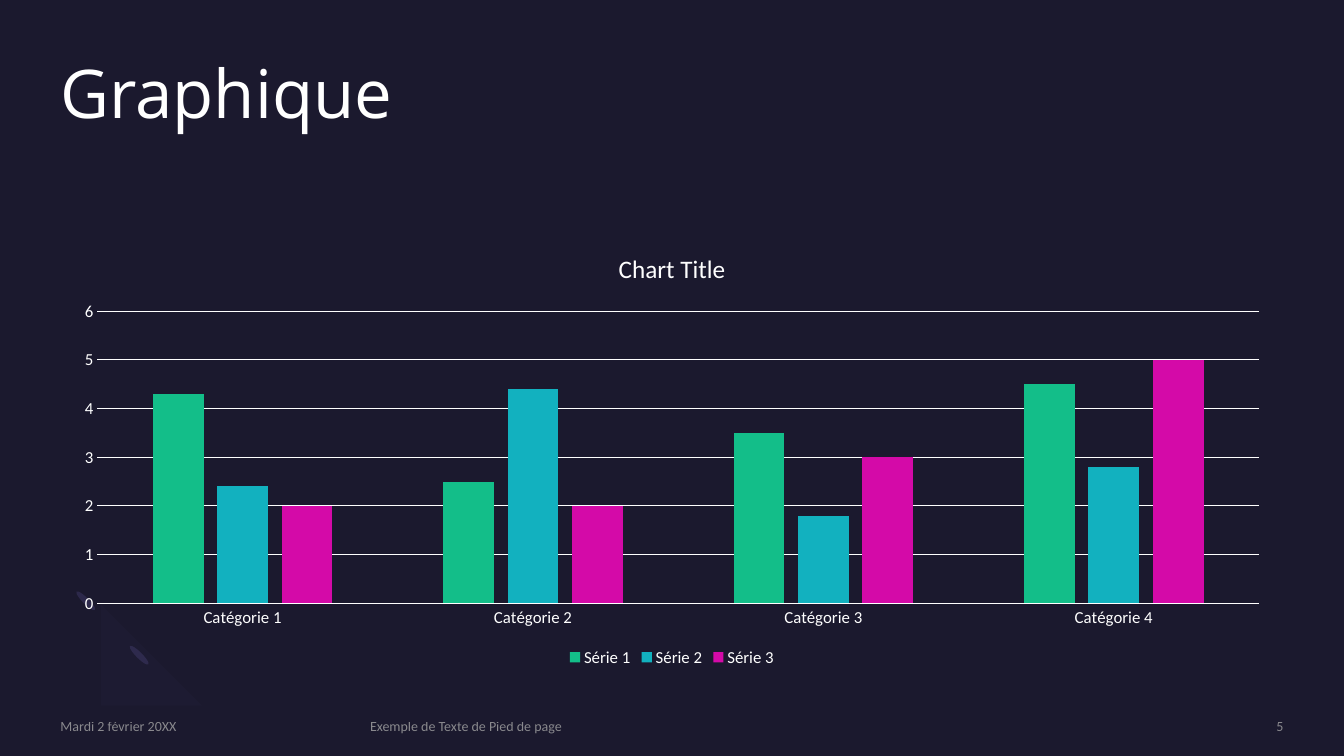
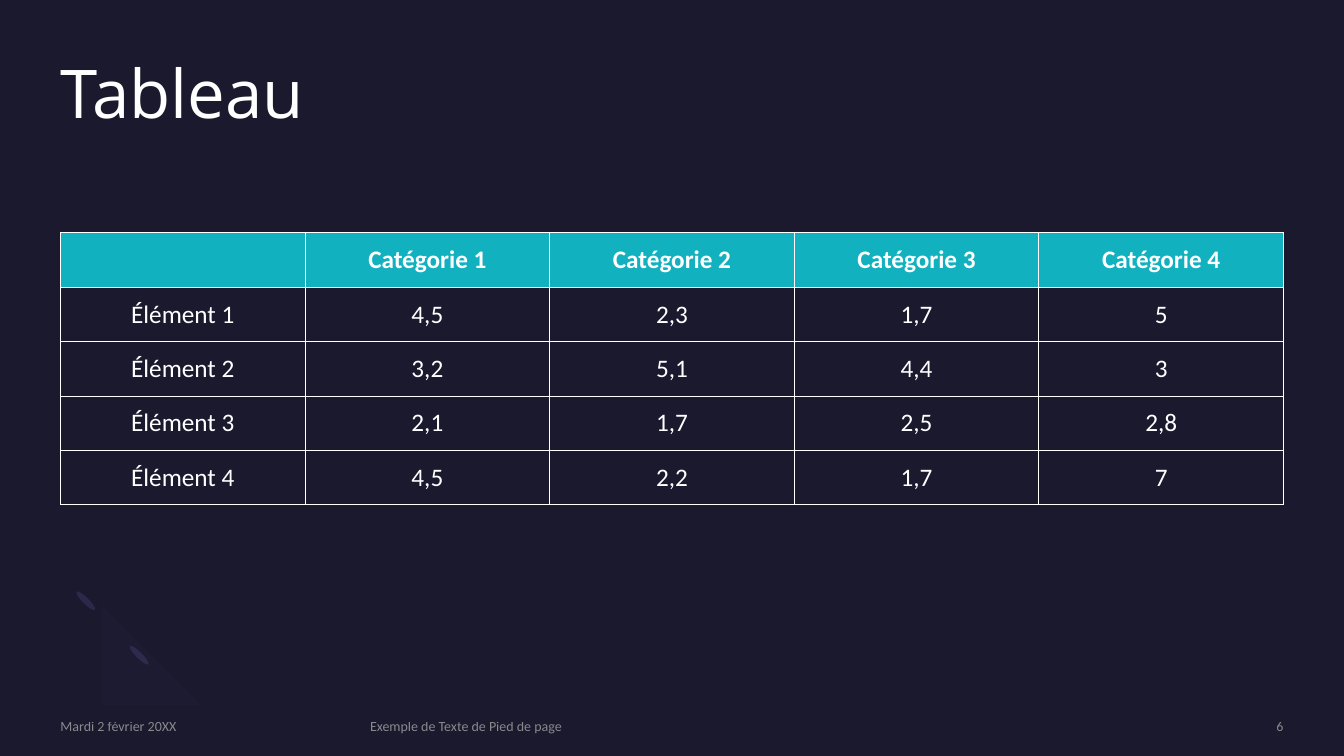
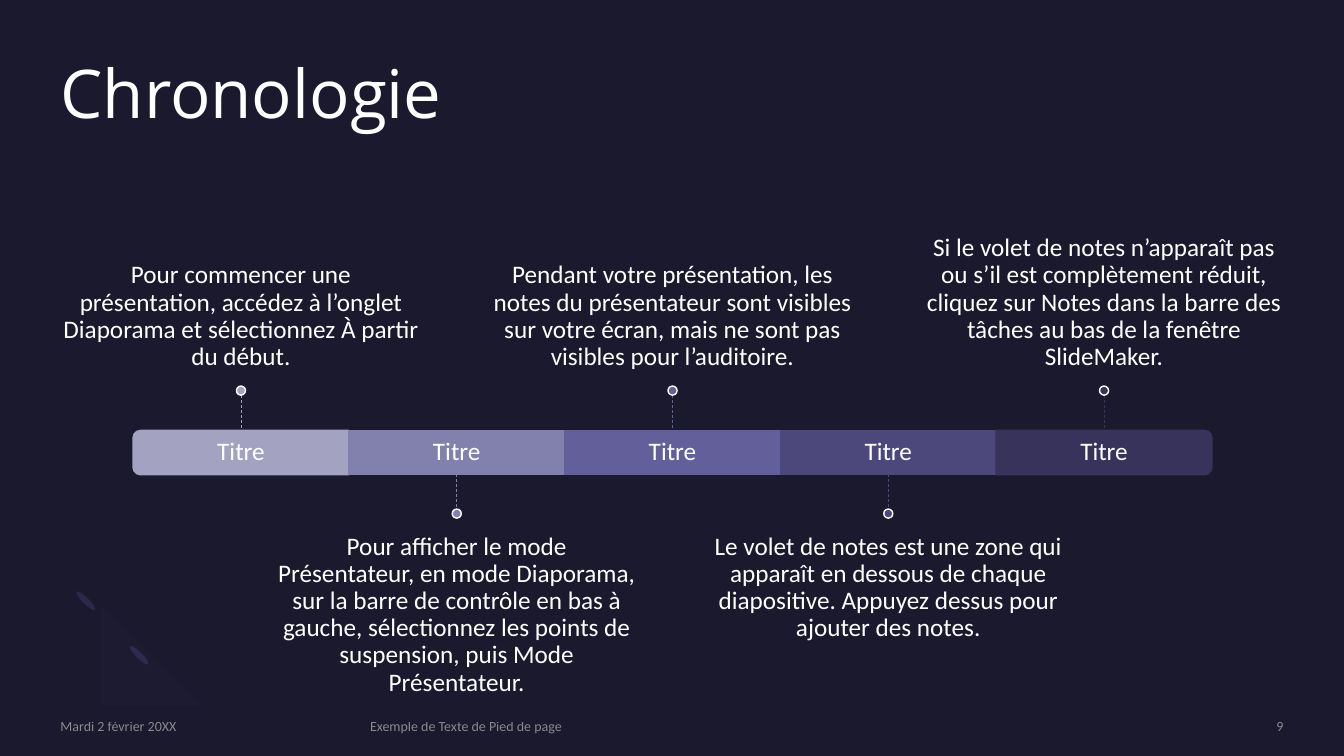
from lxml.etree import SubElement
from pptx import Presentation
from pptx.chart.data import CategoryChartData as ChartData
from pptx.dml.color import RGBColor
from pptx.enum.chart import XL_CHART_TYPE as Kind, XL_LEGEND_POSITION as Spot, XL_TICK_MARK as Tick
from pptx.enum.dml import MSO_LINE as Dash
from pptx.enum.shapes import MSO_CONNECTOR as Link, MSO_SHAPE as Form
from pptx.enum.text import MSO_ANCHOR as Anchor, MSO_AUTO_SIZE as Fit, PP_ALIGN as Align
from pptx.oxml import parse_xml
from pptx.oxml.ns import nsdecls, qn
from pptx.util import Inches, Pt

NIGHT, WHITE, GREY, SPARK, HAZE = "1B192E", "FFFFFF", "A6A6A6", "2C284A", "7771B2"
GREEN, TEAL, PINK = "13BE89", "12B1BF", "D40AA8"
HEAD, BODY = "Open Sans", "Calibri"
LEFT, TOP, WIDE = 0.6, 2.31, 12.13
GROUPS = [f"Catégorie {n}" for n in range(1, 5)]
SERIES = [
    (GREEN, (4.3, 2.5, 3.5, 4.5)),
    (TEAL, (2.4, 4.4, 1.8, 2.8)),
    (PINK, (2, 2, 3, 5)),
]
ROWS = [
    ("4,5", "2,3", "1,7", "5"),
    ("3,2", "5,1", "4,4", "3"),
    ("2,1", "1,7", "2,5", "2,8"),
    ("4,5", "2,2", "1,7", "7"),
]
STEPS = [
    ("A3A3C1", "Pour commencer une présentation, accédez à l’onglet Diaporama et "
               "sélectionnez À partir du début."),
    ("8281AE", "Pour afficher le mode Présentateur, en mode Diaporama, sur la barre de "
               "contrôle en bas à gauche, sélectionnez les points de suspension, puis Mode "
               "Présentateur."),
    ("625F9A", "Pendant votre présentation, les notes du présentateur sont visibles sur "
               "votre écran, mais ne sont pas visibles pour l’auditoire."),
    ("4C487B", "Le volet de notes est une zone qui apparaît en dessous de chaque "
               "diapositive. Appuyez dessus pour ajouter des notes."),
    ("37335B", "Si le volet de notes n’apparaît pas ou s’il est complètement réduit, "
               "cliquez sur Notes dans la barre des tâches au bas de la fenêtre SlideMaker."),
]


def paint(fill, color):
    fill.solid()
    fill.fore_color.rgb = RGBColor.from_string(color)


def fade(shape, share):
    for node in shape.element.iter(qn("a:srgbClr")):
        SubElement(node, qn("a:alpha"), val=str(share * 1000))


def style(font, size, color=WHITE, face=BODY, bold=False):
    font.size, font.name, font.bold = Pt(size), face, bold
    paint(font.fill, color)


def write(frame, text, size, align=Align.LEFT, gap=1.0, **look):
    frame.text = text
    for para in frame.paragraphs:
        para.alignment, para.line_spacing = align, gap
        for run in para.runs:
            style(run.font, size, **look)


def pad(frame, anchor, top=0, low=0):
    frame.word_wrap, frame.auto_size, frame.vertical_anchor = True, Fit.NONE, anchor
    frame.margin_left = frame.margin_right = 0
    frame.margin_top, frame.margin_bottom = Inches(top), Inches(low)


def label(slide, area, text, size, anchor=Anchor.MIDDLE, top=0, low=0, **look):
    box = slide.shapes.add_textbox(*map(Inches, area))
    pad(box.text_frame, anchor, top, low)
    write(box.text_frame, text, size, **look)
    return box


def shape(slide, form, area, color, edge=None, turn=0):
    item = slide.shapes.add_shape(form, *map(Inches, area))
    item.shadow.inherit = False
    item.rotation = turn
    paint(item.fill, color)
    if edge:
        paint(item.line.fill, edge)
        item.line.width = Pt(1)
    else:
        item.line.fill.background()
    return item


def stem(slide, x, top, low, color):
    line = slide.shapes.add_connector(Link.STRAIGHT, *map(Inches, (x, top, x, low)))
    paint(line.line.fill, color)
    line.line.width, line.line.dash_style = Pt(0.5), Dash.DASH
    SubElement(line.element.spPr, qn("a:effectLst"))


def curve(*ends):
    marks = [n / 12 for n in range(1, 13)]
    return [
        tuple(a * (1 - t) ** 3 + 3 * b * t * (1 - t) ** 2 + 3 * c * t * t * (1 - t) + d * t ** 3
              for a, b, c, d in zip(*ends))
        for t in marks
    ]


def decor(slide):
    for x, y in ((1.35, 6.37), (0.82, 5.83)):
        shape(slide, Form.OVAL, (x, y, 0.06, 0.26), SPARK, turn=135)
    start = (0.76, 6.59)
    dots = (
        curve(start, (0.56, 6.39), (0.58, 6.05), (0.81, 5.82))
        + [(0.99, 6)]
        + curve((0.99, 6), (0.87, 6.11), (0.86, 6.29), (0.96, 6.38))
        + curve((0.96, 6.38), (1.06, 6.48), (1.23, 6.47), (1.35, 6.36))
        + [(1.52, 6.54)]
        + curve((1.52, 6.54), (1.3, 6.76), (0.95, 6.79), start)
    )
    pen = slide.shapes.build_freeform(*start, scale=Inches(1))
    pen.add_line_segments(dots)
    arc = pen.convert_to_shape()
    arc.shadow.inherit = False
    arc.line.fill.background()
    paint(arc.fill, HAZE)
    fade(arc, 3)


def page(deck, text, number):
    slide = deck.slides.add_slide(deck.slide_layouts[5])
    decor(slide)
    title = slide.shapes.title
    title.left, title.top, title.width, title.height = map(Inches, (LEFT, 0.6, WIDE, 1.46))
    pad(title.text_frame, Anchor.TOP)
    write(title.text_frame, text, 48, gap=0.9, face=HEAD)
    for x, width, note, align in (
        (LEFT, 2.88, "Mardi 2 février 20XX", Align.LEFT),
        (3.67, 6.98, "Exemple de Texte de Pied de page", Align.LEFT),
        (10.88, 1.85, str(number), Align.RIGHT),
    ):
        fade(label(slide, (x, 7.12, width, 0.17), note, 10, align=align, color=GREY), 80)
    return slide


def rule(line):
    paint(line.fill, WHITE)
    line.width = Pt(0.75)


def graph(slide):
    data = ChartData()
    data.categories = GROUPS
    for n, (color, values) in enumerate(SERIES, 1):
        data.add_series(f"Série\u00a0{n}", values)
    area = map(Inches, (LEFT, TOP, WIDE, 4.35))
    chart = slide.shapes.add_chart(Kind.COLUMN_CLUSTERED, *area, data).chart
    style(chart.font, 12)
    chart.has_title = True
    write(chart.chart_title.text_frame, "Chart Title", 18, align=Align.CENTER)
    chart.has_legend = True
    chart.legend.position, chart.legend.include_in_layout = Spot.BOTTOM, False
    style(chart.legend.font, 12)
    plot = chart.plots[0]
    plot.gap_width, plot.overlap, plot.vary_by_categories = 219, -27, False
    for bars, (color, values) in zip(plot.series, SERIES):
        paint(bars.format.fill, color)
    base, scale = chart.category_axis, chart.value_axis
    for axis in (base, scale):
        axis.major_tick_mark = axis.minor_tick_mark = Tick.NONE
        style(axis.tick_labels.font, 12)
    rule(base.format.line)
    rule(scale.major_gridlines.format.line)
    scale.format.line.fill.background()
    scale.minimum_scale, scale.maximum_scale, scale.major_unit = 0, 6, 1


def frame(cell):
    props = cell._tc.get_or_add_tcPr()
    for n, side in enumerate("LRTB"):
        props.insert(n, parse_xml(
            f'<a:ln{side} {nsdecls("a")} w="9525"><a:solidFill>'
            f'<a:srgbClr val="{WHITE}"/></a:solidFill></a:ln{side}>'))


def grid(slide):
    lines = [("", *GROUPS)]
    lines += [(f"Élément\u00a0{n}", *row) for n, row in enumerate(ROWS, 1)]
    area = map(Inches, (LEFT, TOP, WIDE, 2.7))
    table = slide.shapes.add_table(len(lines), len(lines[0]), *area).table
    table.horz_banding = False
    for r, line in enumerate(lines):
        for c, text in enumerate(line):
            cell = table.cell(r, c)
            cell.vertical_anchor = Anchor.MIDDLE
            write(cell.text_frame, text, 18, align=Align.CENTER, bold=r == 0)
            if r == 0:
                paint(cell.fill, TEAL)
            else:
                cell.fill.background()
            frame(cell)


def block(slide, n, x, color):
    wide, high, y = 2.14, 0.44, 4.27
    turn = {0: 270, len(STEPS) - 1: 90}.get(n)
    if turn:
        area = (x - high / 2, y + (high - wide) / 2, high, wide)
        shape(slide, Form.ROUND_2_SAME_RECTANGLE, area, color, color, turn)
    else:
        shape(slide, Form.RECTANGLE, (x - wide / 2, y, wide, high), color, color)
    label(slide, (x - wide / 2, y, wide, high), "Titre", 18, align=Align.CENTER, gap=0.9)


def story(slide):
    dot, wide = 0.09, 3.57
    for n, (color, text) in enumerate(STEPS):
        x = 2.39 + 2.14 * n
        block(slide, n, x, color)
        if n % 2:
            top, pin, ends = 5.14, 5.05, (4.7, 5.05)
            look = {"anchor": Anchor.TOP, "top": 0.15}
        else:
            top, pin, ends = TOP, 3.83, (3.92, 4.27)
            look = {"anchor": Anchor.BOTTOM, "low": 0.15}
        label(slide, (x - wide / 2, top, wide, 1.52), text, 18,
              align=Align.CENTER, gap=0.9, **look)
        stem(slide, x, *ends, color)
        shape(slide, Form.OVAL, (x - dot / 2, pin, dot, dot), color, WHITE)


def main():
    deck = Presentation()
    deck.slide_width, deck.slide_height = Inches(13.33), Inches(7.5)
    paint(deck.slide_master.background.fill, NIGHT)
    for text, number, draw in (
        ("Graphique", 5, graph), ("Tableau", 6, grid), ("Chronologie", 9, story),
    ):
        draw(page(deck, text, number))
    deck.save("out.pptx")


main()
